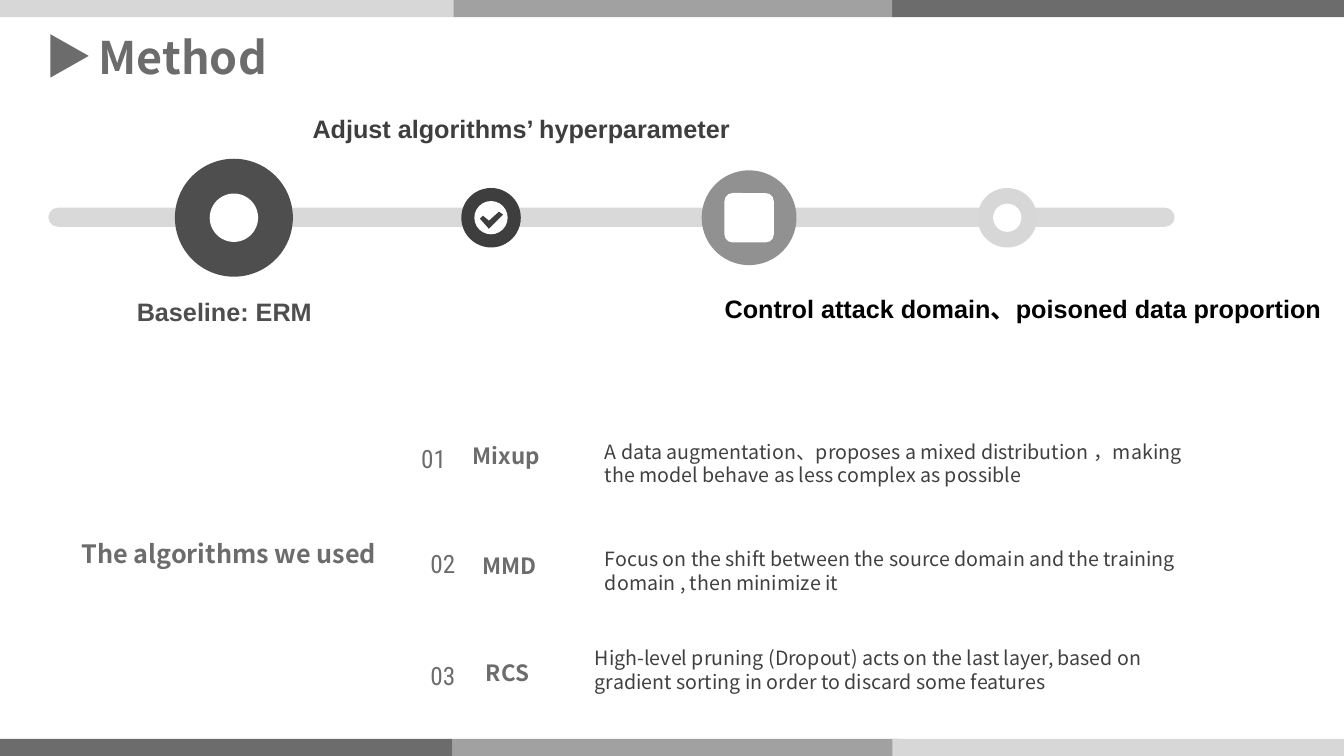
from lxml.etree import SubElement
from pptx import Presentation
from pptx.dml.color import RGBColor
from pptx.enum.shapes import MSO_SHAPE as Kind
from pptx.enum.text import MSO_ANCHOR as Anchor, MSO_AUTO_SIZE as Fit, PP_ALIGN as Align
from pptx.oxml.ns import qn
from pptx.util import Inches, Pt

# Content
SANS, ARIAL, THIN = "Noto Sans CJK SC", "Arial", "Roboto Condensed"
DARK, MID, PALE, WHITE = "6C6C6C", "A1A1A1", "D7D7D7", "FFFFFF"
INK = "3E3E3E"
WIDE, HIGH, BAND = 13.33, 7.5, 0.17

# Band parts: left, width, colour
TOP = [(8.84, 4.49, DARK), (4.49, 4.36, MID), (-0.03, 4.53, PALE)]
FOOT = [(0, 4.49, DARK), (4.49, 4.42, MID), (8.85, 4.49, PALE)]

# Timeline stops: centre, size, colour, mark, mark size
AXIS = 2.16
STOPS = [
    (2.32, 1.17, "4E4E4E", Kind.OVAL, 0.48),
    (9.99, 0.59, PALE, Kind.OVAL, 0.28),
    (4.87, 0.59, INK, Kind.OVAL, 0.33),
    (7.43, 0.94, "919191", Kind.ROUNDED_RECTANGLE, 0.49),
]
TICK = [(4.76, 2.17), (4.79, 2.14), (4.85, 2.19), (4.95, 2.1),
        (4.99, 2.13), (4.85, 2.27)]

# Timeline labels: text, left, top, width, height, colour
LABELS = [
    ("Baseline: ERM", 1.3, 2.94, 1.85, 0.3, "4E4E4E"),
    ("Adjust algorithms’ hyperparameter", 3.55, 1.08, 3.24, 0.39, INK),
    ("Control attack domain、poisoned data proportion", 9.22, 2.91, 1.85, 0.3, "000000"),
]

# Algorithms: name, note, then left and top of number, name and note
ROWS = [
    ("Mixup", "A data augmentation、proposes a mixed distribution ，making the model "
     "behave as less complex as possible", (4.08, 4.35), (4.59, 4.34), (5.87, 4.29)),
    ("MMD", "Focus on the shift between the source domain and the training domain , "
     "then minimize it", (4.17, 5.39), (4.69, 5.43), (5.87, 5.36)),
    ("RCS", "High-level pruning (Dropout) acts on the last layer, based on gradient "
     "sorting in order to discard some features", (4.17, 6.5), (4.72, 6.49), (5.77, 6.34)),
]

deck = Presentation()
deck.slide_width, deck.slide_height = Inches(WIDE), Inches(HIGH)
page = deck.slides.add_slide(deck.slide_layouts[6])


def paint(item, color):
    item.shadow.inherit = False
    item.fill.solid()
    item.fill.fore_color.rgb = RGBColor.from_string(color)
    item.line.fill.background()


def shape(kind, x, y, w, h, color, *adj):
    item = page.shapes.add_shape(kind, Inches(x), Inches(y), Inches(w), Inches(h))
    for i, value in enumerate(adj):
        item.adjustments[i] = value
    paint(item, color)


def disc(kind, x, size, color):
    shape(kind, x - size / 2, AXIS - size / 2, size, size, color)


def write(text, x, y, w, h, size, font, color, bold=False, wrap=True, pad=(0.1, 0.05)):
    box = page.shapes.add_textbox(Inches(x), Inches(y), Inches(w), Inches(h))
    frame = box.text_frame
    frame.text = text
    frame.word_wrap = wrap
    frame.margin_left = frame.margin_right = Inches(pad[0])
    frame.margin_top = frame.margin_bottom = Inches(pad[1])
    frame.auto_size = Fit.SHAPE_TO_FIT_TEXT
    run = frame.paragraphs[0].runs[0]
    run.font.size, run.font.bold, run.font.name = Pt(size), bold, font
    run.font.color.rgb = RGBColor.from_string(color)
    SubElement(run.font._element, qn("a:ea")).set("typeface", SANS)
    return frame


# Bands and title
for y, band in ((HIGH - BAND, FOOT), (0, TOP)):
    for x, w, color in band:
        shape(Kind.RECTANGLE, x, y, w, BAND, color)
shape(Kind.RIGHT_ARROW, 0.5, 0.34, 0.38, 0.43, DARK, 0.5, 1)
write("Method", 0.88, 0.25, 4.01, 0.64, 32, SANS, DARK, True)

# Timeline
shape(Kind.ROUNDED_RECTANGLE, 0.48, 2.06, 11.17, 0.19, "D9D9D9", 0.5)
for x, size, color, mark, inner in STOPS:
    disc(Kind.OVAL, x, size, color)
    disc(mark, x, inner, WHITE)
pen = page.shapes.build_freeform(*map(Inches, TICK[0]))
pen.add_line_segments([(Inches(x), Inches(y)) for x, y in TICK[1:]])
paint(pen.convert_to_shape(), INK)
for text, x, y, w, h, color in LABELS:
    frame = write(text, x, y, w, h, 18, ARIAL, color, True, False, (0, 0))
    frame.auto_size = Fit.NONE
    frame.vertical_anchor = Anchor.MIDDLE
    frame.paragraphs[0].alignment = Align.CENTER

# Algorithms
write("The algorithms we used", 0.71, 5.29, 3.24, 0.4, 18, SANS, DARK, True, False)
for i, (name, note, num_at, name_at, note_at) in enumerate(ROWS, 1):
    write(f"{i:02}", *num_at, 0.84, 0.4, 18, THIN, DARK)
    write(name, *name_at, 5.18, 0.37, 16, SANS, DARK, True)
    write(note, *note_at, 6.15, 0.61, 14, SANS, "404040", pad=(0.13, 0.07))

deck.save("out.pptx")
